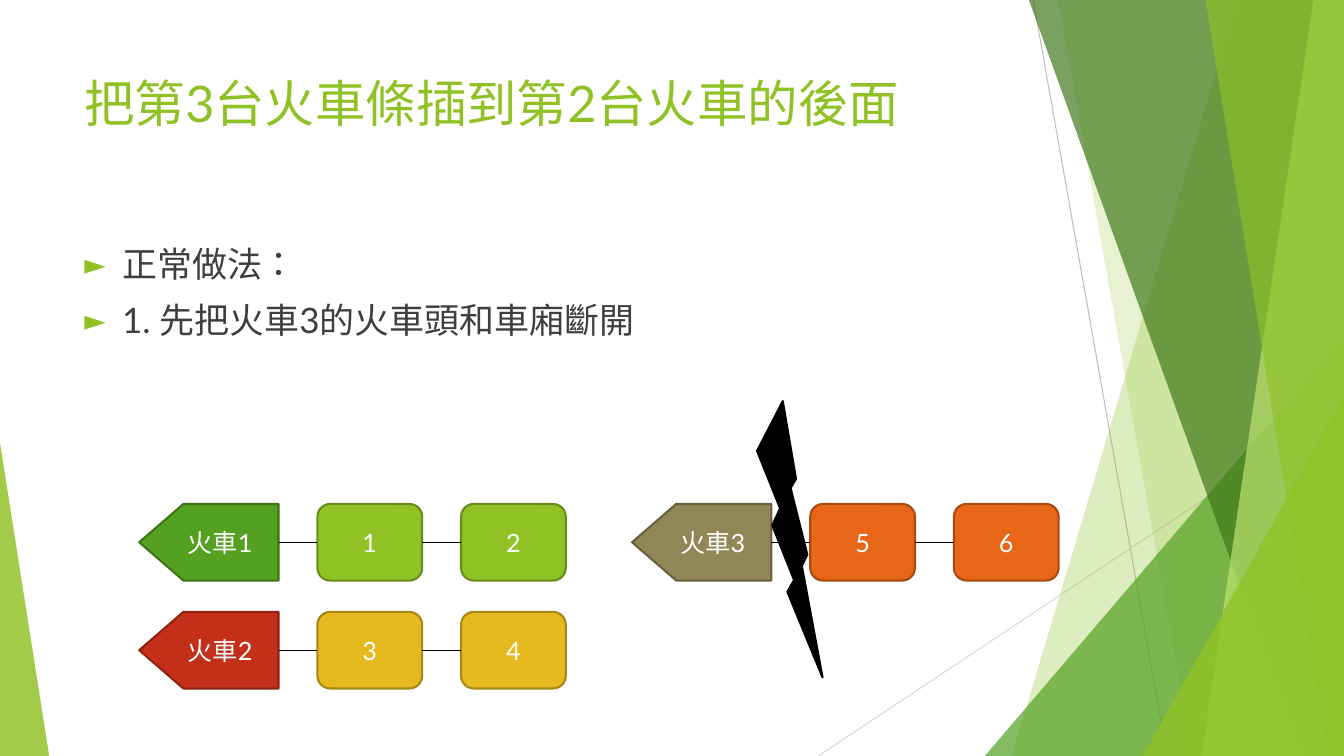
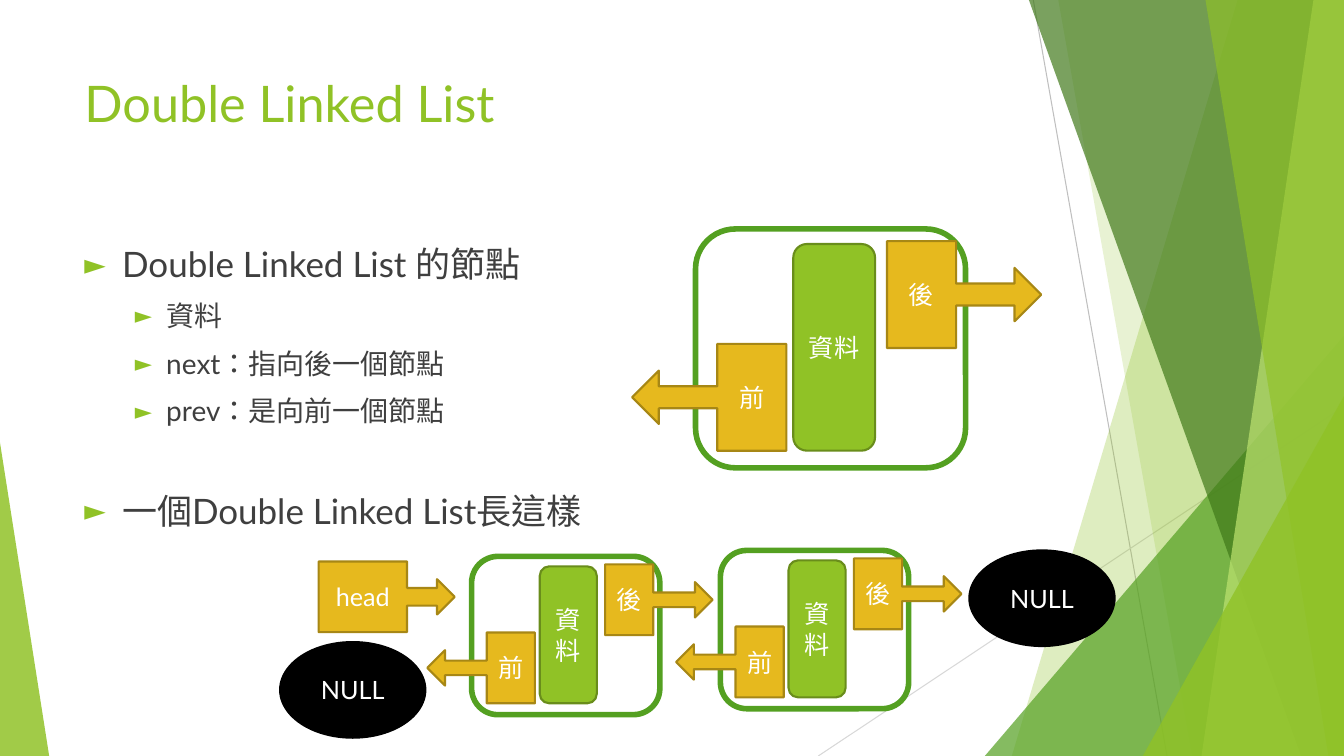
from lxml import etree
from pptx import Presentation
from pptx import util as u
from pptx.dml.color import RGBColor
from pptx.enum import shapes, text
from pptx.oxml import ns

WHITE = RGBColor(0xFF, 0xFF, 0xFF)
BLACK = RGBColor(0, 0, 0)
INK = RGBColor(0x3F, 0x3F, 0x3F)
SILVER = RGBColor(0xBF, 0xBF, 0xBF)
MIST = RGBColor(0xD8, 0xD8, 0xD8)
LIME = RGBColor(0x90, 0xC2, 0x26)
MOSS = RGBColor(0x69, 0x8D, 0x1B)
PALE = RGBColor(0xBF, 0xE4, 0x71)
GREEN = RGBColor(0x54, 0xA0, 0x21)
PINE = RGBColor(0x3D, 0x74, 0x18)
FOREST = RGBColor(0x3F, 0x78, 0x18)
GOLD = RGBColor(0xE6, 0xB9, 0x1E)
BRONZE = RGBColor(0xA7, 0x87, 0x15)
RED = RGBColor(0xC4, 0x2F, 0x1A)
WINE = RGBColor(0x8F, 0x22, 0x12)
KHAKI = RGBColor(0x91, 0x86, 0x55)
OLIVE = RGBColor(0x69, 0x61, 0x3E)
ORANGE = RGBColor(0xE7, 0x66, 0x18)
RUST = RGBColor(0xA8, 0x4A, 0x11)

FONT = "Lato"
WIDE, HIGH = 33.87, 19.05
KIND = shapes.MSO_SHAPE
CENTER = text.PP_ALIGN.CENTER
MIDDLE = text.MSO_ANCHOR.MIDDLE


def child(parent, tag, **attrs):
    return etree.SubElement(parent, ns.qn(tag), **attrs)


def write(frame, words, size=18, color=WHITE, align=None, before=0, indent=None):
    frame.word_wrap = True
    para = frame.paragraphs[0]
    if para.runs:
        para = frame.add_paragraph()
    para.alignment = align
    para.space_before = u.Pt(before)
    run = para.add_run()
    run.text = words
    run.font.size = u.Pt(size)
    run.font.name = FONT
    run.font.color.rgb = color
    run._r.get_or_add_rPr().set("lang", "zh-TW")
    if indent:
        left, hang = indent
        props = para._p.get_or_add_pPr()
        props.set("marL", str(u.Cm(left)))
        props.set("indent", str(-u.Cm(hang)))
        child(child(props, "a:buClr"), "a:srgbClr", val=str(LIME))
        child(props, "a:buSzPct", val="80000")
        child(props, "a:buFont", typeface=FONT)
        child(props, "a:buChar", char="►")


def paint(shape, fill, edge=None, weight=1.5, alpha=None):
    shape.shadow.inherit = False
    shape.fill.solid()
    shape.fill.fore_color.rgb = fill
    if alpha:
        tint = shape._element.spPr.find(ns.qn("a:solidFill"))[0]
        child(tint, "a:alpha", val=str(alpha * 1000))
    if edge is None:
        shape.line.fill.background()
    else:
        shape.line.color.rgb = edge
        shape.line.width = u.Pt(weight)


def block(slide, kind, box, fill, edge=None, words=None, flip=False, adjust=(), **look):
    shape = slide.shapes.add_shape(kind, *map(u.Cm, box))
    for i, value in enumerate(adjust):
        shape.adjustments[i] = value
    paint(shape, fill, edge, **look)
    if flip:
        shape._element.spPr.find(ns.qn("a:xfrm")).set("flipH", "1")
    if words:
        shape.text_frame.vertical_anchor = MIDDLE
        write(shape.text_frame, words, align=CENTER)


def rule(slide, start, end, color=BLACK, weight=1):
    line = slide.shapes.add_connector(
        shapes.MSO_CONNECTOR.STRAIGHT, *map(u.Cm, start + end))
    line.line.color.rgb = color
    line.line.width = u.Pt(weight)
    child(line._element.spPr, "a:effectLst")


def band(slide, top, base, color, alpha):
    pen = slide.shapes.build_freeform(u.Cm(top), 0)
    ends = [(WIDE, 0), (WIDE, HIGH), (base, HIGH)]
    pen.add_line_segments([(u.Cm(x), u.Cm(y)) for x, y in ends], close=True)
    paint(pen.convert_to_shape(), color, alpha=alpha)


def wedge(slide, left, top, width, apex, color, alpha):
    block(slide, KIND.ISOSCELES_TRIANGLE, (left, top, width, HIGH - top), color,
          adjust=[apex], alpha=alpha)


def backdrop(slide):
    rule(slide, (26.04, 0), (29.41, HIGH), SILVER, 0.75)
    rule(slide, (WIDE, 10.24), (20.62, HIGH), MIST, 0.75)
    band(slide, 31.19, 25.5, LIME, 29)
    band(slide, 26.67, 30.05, LIME, 20)
    wedge(slide, 24.82, 8.46, WIDE - 24.82, 1, GREEN, 71)
    band(slide, 25.93, 32.79, FOREST, 69)
    band(slide, 33.1, 30.28, PALE, 69)
    band(slide, 30.38, 33.48, LIME, 64)
    wedge(slide, 28.8, 9.98, WIDE - 28.8, 1, LIME, 80)
    wedge(slide, 0, 11.15, 1.24, 0, LIME, 84)


def page(deck, title, points):
    slide = deck.slides.add_slide(deck.slide_layouts[6])
    backdrop(slide)
    head = slide.shapes.add_textbox(*map(u.Cm, (1.88, 1.7, 23.88, 3.66)))
    write(head.text_frame, title, size=36, color=LIME)
    body = slide.shapes.add_textbox(*map(u.Cm, (1.88, 5.99, 23.88, 10.77)))
    for level, before, words in points:
        size, indent = [(25, (0.95, 0.95)), (20, (2.06, 0.79))][level]
        write(body.text_frame, words, size=size, color=INK,
              before=before, indent=indent)
    return slide


def train(slide, left, top, name, cars, front, load):
    nose, car, high, gap = 3.51, 2.64, 1.93, 0.98
    block(slide, KIND.PENTAGON, (left, top, nose, high), *front, name,
          flip=True, adjust=[0.577])
    mid = top + high / 2
    for i, words in enumerate(cars):
        x = left + nose + gap + i * (car + gap)
        block(slide, KIND.ROUNDED_RECTANGLE, (x, top, car, high), *load, words)
        rule(slide, (x - gap, mid), (x, mid))


def node(slide, left, top, width, height):
    def part(x, y, w, h):
        return left + x * width, top + y * height, w * width, h * height

    block(slide, KIND.ROUNDED_RECTANGLE, part(0.155, 0, 0.66, 1), WHITE, GREEN, weight=4)
    block(slide, KIND.ROUNDED_RECTANGLE, part(0.394, 0.063, 0.2, 0.865), LIME, MOSS, "資料")
    for x, y, words, flip in [(0.623, 0.051, "後", False), (0, 0.481, "前", True)]:
        block(slide, KIND.RIGHT_ARROW_CALLOUT, part(x, y, 0.377, 0.447), GOLD, BRONZE,
              words, flip=flip, adjust=[0.206, 0.25, 0.25, 0.448])


def trains(deck):
    slide = page(deck, "把第3台火車條插到第2台火車的後面", [
        (0, 0, "正常做法："),
        (0, 10, "1. 先把火車3的火車頭和車廂斷開")])
    train(slide, 3.51, 12.7, "火車1", "12", (GREEN, PINE), (LIME, MOSS))
    train(slide, 3.51, 15.42, "火車2", "34", (RED, WINE), (GOLD, BRONZE))
    train(slide, 15.93, 12.7, "火車3", "56", (KHAKI, OLIVE), (ORANGE, RUST))
    block(slide, KIND.LIGHTNING_BOLT, (19.08, 10.11, 1.65, 6.96), BLACK, BLACK)


def linked(deck):
    slide = page(deck, "Double Linked List", [
        (0, 0, "Double Linked List 的節點"),
        (1, 10, "資料"),
        (1, 10, "next：指向後一個節點"),
        (1, 10, "prev：是向前一個節點"),
        (0, 44, "一個Double Linked List長這樣")])
    block(slide, KIND.RIGHT_ARROW_CALLOUT, (8.03, 14.15, 3.43, 1.78), GOLD, BRONZE,
          "head", adjust=[0.25, 0.25, 0.25, 0.65])
    for left, top in [(24.43, 13.87), (7.06, 16.18)]:
        block(slide, KIND.OVAL, (left, top, 3.66, 2.41), BLACK, BLACK, "NULL")
    for box in [(10.77, 14.02, 7.19, 3.99), (17.04, 13.87, 7.19, 3.99),
                (15.93, 5.77, 10.31, 6.02)]:
        node(slide, *box)


def main():
    deck = Presentation()
    deck.slide_width, deck.slide_height = u.Cm(WIDE), u.Cm(HIGH)
    trains(deck)
    linked(deck)
    deck.save("out.pptx")


if __name__ == "__main__":
    main()
